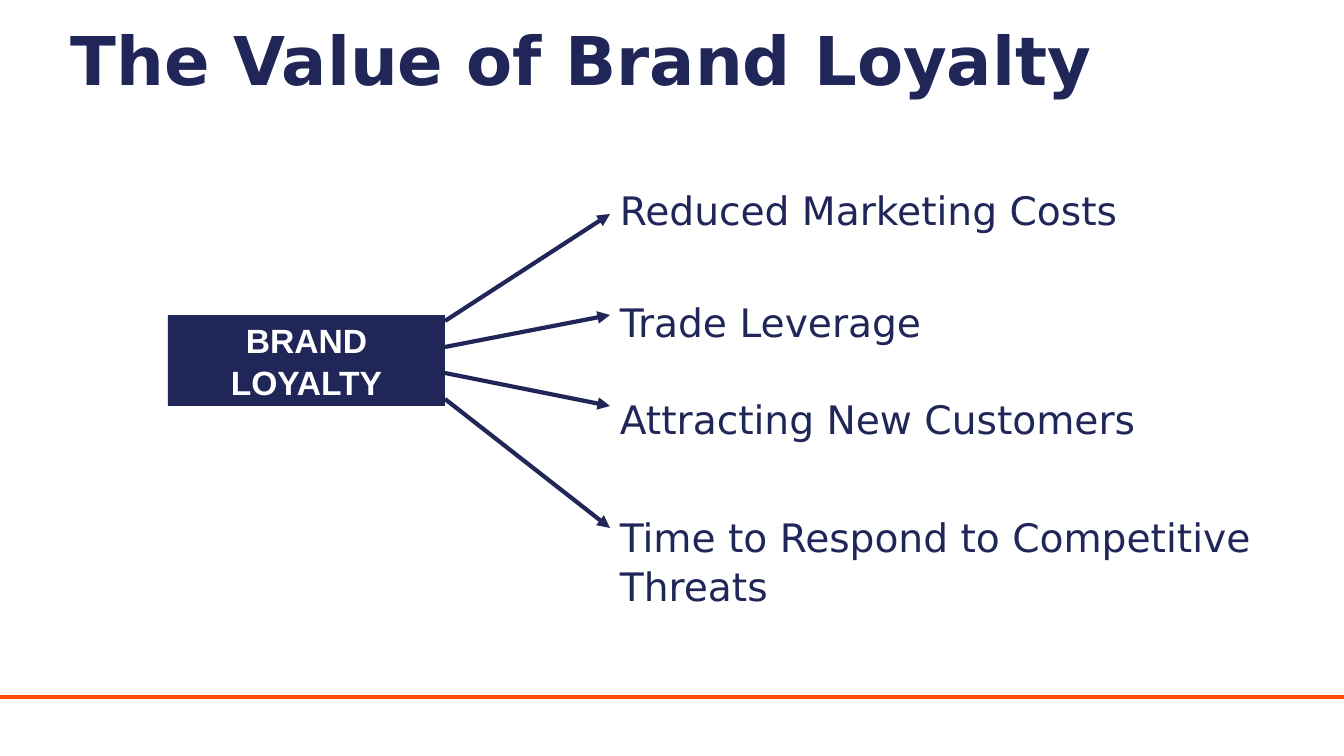
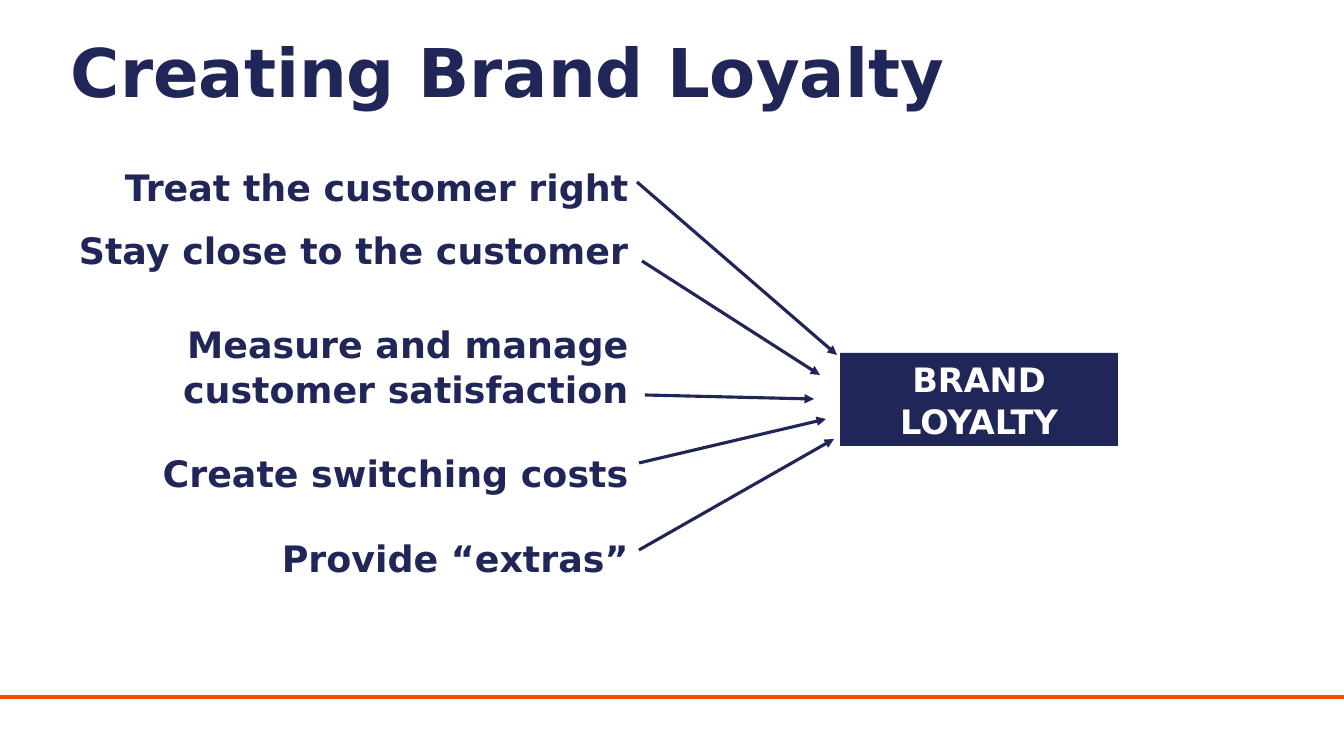
from dataclasses import dataclass

from lxml.etree import SubElement
from pptx import Presentation
from pptx.dml.color import RGBColor
from pptx.enum.shapes import MSO_CONNECTOR, MSO_SHAPE
from pptx.enum.text import MSO_ANCHOR, PP_ALIGN
from pptx.oxml.ns import qn
from pptx.util import Pt

PX = 914400 / 100.8


def px(n):
    return round(n * PX)


@dataclass(frozen=True)
class Theme:
    navy: RGBColor = RGBColor(0x21, 0x26, 0x59)
    orange: RGBColor = RGBColor(0xFF, 0x4A, 0x00)
    white: RGBColor = RGBColor(0xFF, 0xFF, 0xFF)
    font: str = "DejaVu Sans"
    hub_font: str = "Arial"
    title: int = 48
    hub: int = 24
    benefit: int = 28
    action: int = 26
    rule: float = 3
    line_spacing: float = 1.03


@dataclass(frozen=True)
class Box:
    x: int
    y: int
    w: int
    h: int

    def emu(self):
        return [px(n) for n in (self.x, self.y, self.w, self.h)]


T = Theme()
WIDTH, HEIGHT = 1344, 756
RULE_Y = 697


def add_run(p, text, size, bold=False, color=T.navy, font=T.font):
    r = p.add_run()
    r.text = text
    r.font.name, r.font.size, r.font.bold = font, Pt(size), bold
    r.font.color.rgb = color


def add_line(s, start, end, color, width, arrow=False):
    """Draw a shadowless straight line between two points in px."""
    line = s.shapes.add_connector(
        MSO_CONNECTOR.STRAIGHT, *(px(n) for n in (*start, *end)))
    line.line.color.rgb = color
    line.line.width = Pt(width)
    if arrow:
        SubElement(line.line._get_or_add_ln(), qn("a:tailEnd"), type="triangle")
    SubElement(line._element.spPr, qn("a:effectLst"))


def add_frame(prs, title, box):
    """Start a slide with its title and the bottom rule."""
    s = prs.slides.add_slide(prs.slide_layouts[6])
    add_line(s, (0, RULE_Y), (WIDTH, RULE_Y), T.orange, T.rule)
    tf = s.shapes.add_textbox(*box.emu()).text_frame
    tf.word_wrap = True
    add_run(tf.paragraphs[0], title, T.title, bold=True)
    return s


def add_list(s, box, items, size, bold=False, align=PP_ALIGN.LEFT):
    """Add paragraphs given as (points of space before, text)."""
    tf = s.shapes.add_textbox(*box.emu()).text_frame
    tf.word_wrap = True
    for i, (gap, text) in enumerate(items):
        p = tf.add_paragraph() if i else tf.paragraphs[0]
        p.alignment = align
        p.line_spacing = T.line_spacing
        if i:
            p.space_before = Pt(gap)
        add_run(p, text, size, bold)


def add_hub(s, box, font):
    sp = s.shapes.add_shape(MSO_SHAPE.RECTANGLE, *box.emu())
    sp.shadow.inherit = False
    sp.fill.solid()
    sp.fill.fore_color.rgb = T.navy
    sp.line.fill.background()
    tf = sp.text_frame
    tf.word_wrap = True
    tf.vertical_anchor = MSO_ANCHOR.MIDDLE
    p = tf.paragraphs[0]
    p.alignment = PP_ALIGN.CENTER
    p.line_spacing = T.line_spacing
    add_run(p, "BRAND", T.hub, True, T.white, font)
    p.add_line_break()
    add_run(p, "LOYALTY", T.hub, True, T.white, font)


def add_arrows(s, box, arrows, width):
    """Draw arrows whose ends are offsets from the corner of the box."""
    for (x1, y1), (x2, y2) in arrows:
        add_line(s, (box.x + x1, box.y + y1), (box.x + x2, box.y + y2),
                 T.navy, width, arrow=True)


def value_slide(prs):
    s = add_frame(prs, "The Value of Brand Loyalty", Box(61, 13, 1251, 84))
    hub = Box(168, 315, 277, 91)
    add_hub(s, hub, T.hub_font)
    add_list(s, Box(610, 180, 673, 440), [
        (0, "Reduced Marketing Costs"),
        (45, "Trade Leverage"),
        (35, "Attracting New Customers"),
        (50, "Time to Respond to Competitive Threats"),
    ], T.benefit)
    tips = (-101, 0, 91, 213)
    add_arrows(s, hub, [((hub.w, 6 + 26 * i), (442, y))
                        for i, y in enumerate(tips)], 3)


def creating_slide(prs):
    s = add_frame(prs, "Creating Brand Loyalty", Box(61, 25, 1251, 84))
    add_list(s, Box(16, 159, 623, 430), [
        (0, "Treat the customer right"),
        (13, "Stay close to the customer"),
        (35, "Measure and manage customer satisfaction"),
        (28, "Create switching costs"),
        (28, "Provide “extras”"),
    ], T.action, bold=True, align=PP_ALIGN.RIGHT)
    hub = Box(840, 353, 278, 93)
    add_arrows(s, hub, [
        ((-203, -171), (-3, 2)),
        ((-198, -92), (-20, 22)),
        ((-195, 42), (-26, 46)),
        ((-201, 110), (-14, 66)),
        ((-201, 197), (-6, 86)),
    ], 2.25)
    add_hub(s, hub, T.font)


def main():
    prs = Presentation()
    prs.slide_width, prs.slide_height = px(WIDTH), px(HEIGHT)
    value_slide(prs)
    creating_slide(prs)
    prs.save("out.pptx")


if __name__ == "__main__":
    main()
